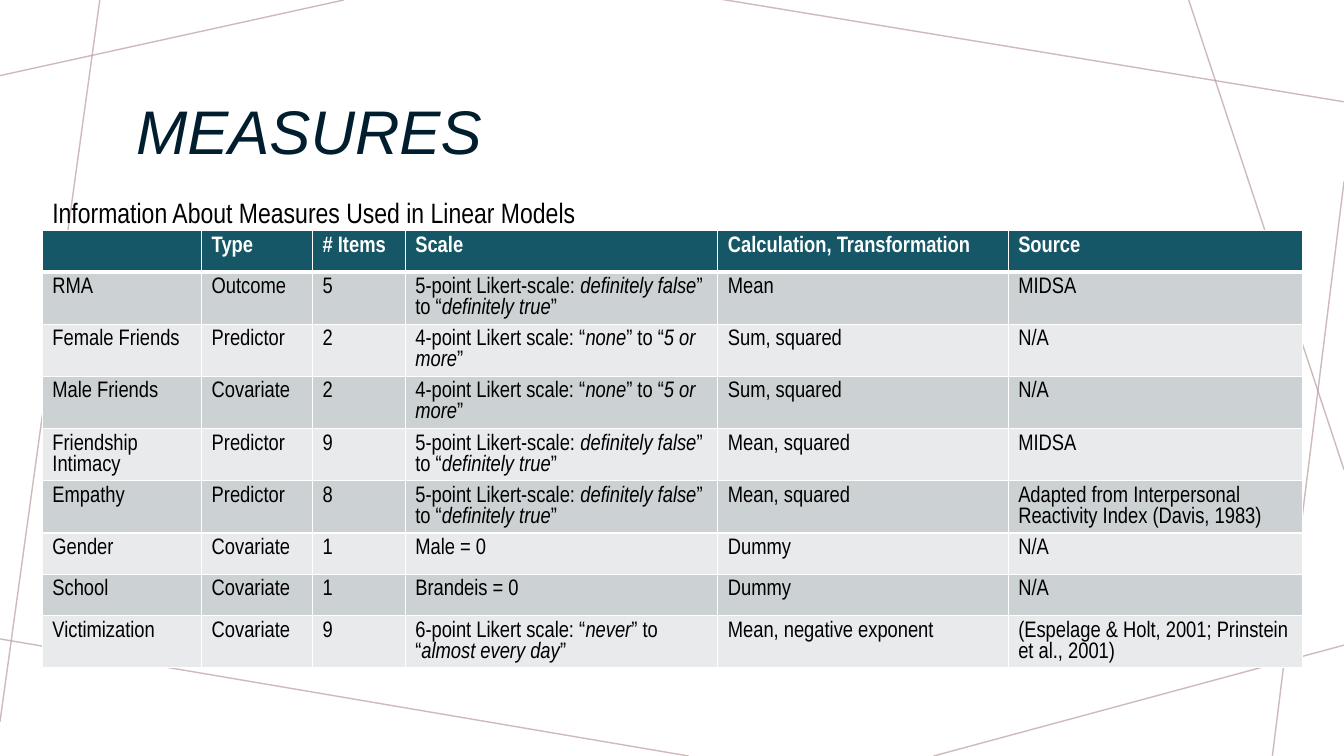
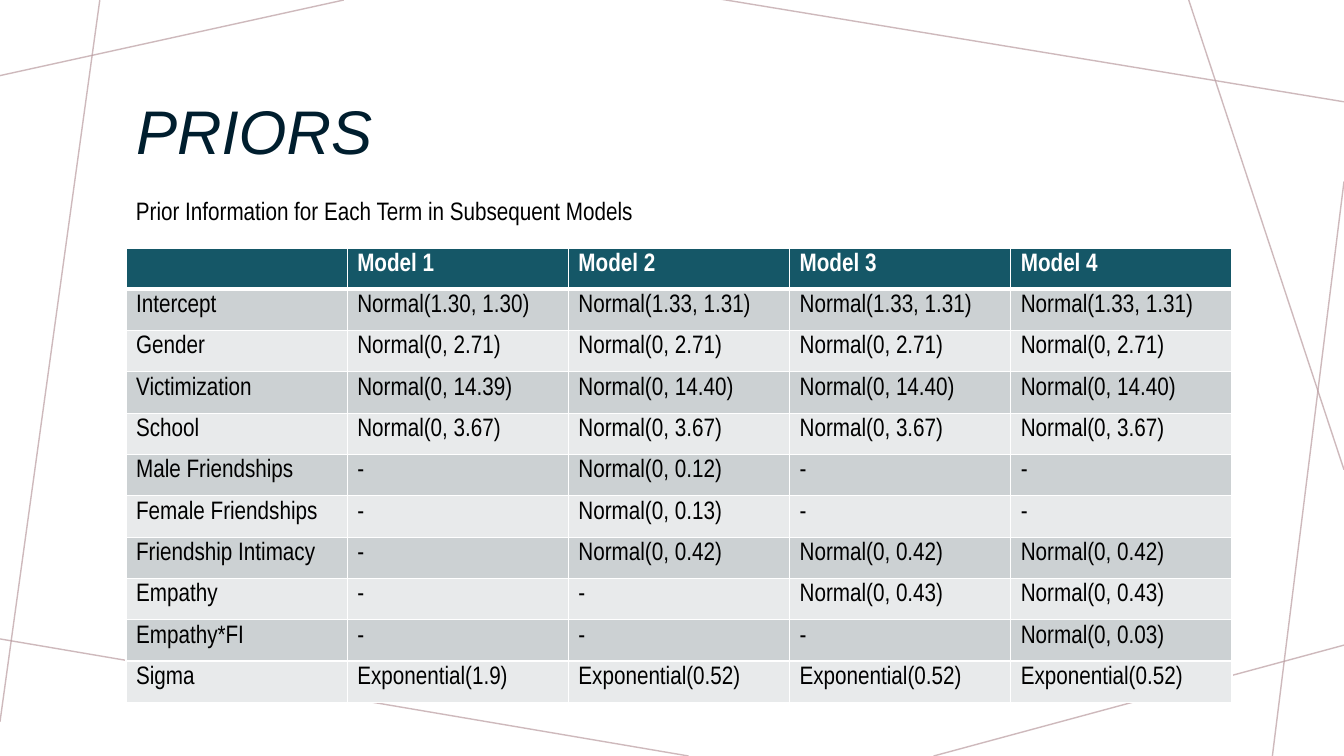
from dataclasses import dataclass

from lxml import etree
from pptx import Presentation
from pptx.dml.color import RGBColor
from pptx.enum.shapes import MSO_CONNECTOR
from pptx.enum.text import MSO_ANCHOR, MSO_AUTO_SIZE, PP_ALIGN
from pptx.oxml.ns import qn
from pptx.util import Inches, Pt

STRAIGHT = MSO_CONNECTOR.STRAIGHT
MIDDLE = MSO_ANCHOR.MIDDLE
LEFT = PP_ALIGN.LEFT
NO_FIT, GROW = MSO_AUTO_SIZE.NONE, MSO_AUTO_SIZE.SHAPE_TO_FIT_TEXT

COLORS = {
    "title": "001E2E",
    "line": "BA9CA0",
    "header": "155767",
    "band_dark": "CCD1D3",
    "band_light": "E8EAEB",
    "white": "FFFFFF",
    "black": "000000",
}
TITLE_FONT, BODY_FONT = "Arial", "Arial Narrow"
ROW_HEIGHT = 0.41
CAPTION_TOP = 1.89


@dataclass
class Line:
    x1: float
    y1: float
    x2: float
    y2: float


@dataclass
class TableSlide:
    title: str
    caption: str
    caption_size: int
    caption_width: float
    left: float
    top: float
    col_widths: list[float]
    text_size: int
    rows: list[list[str]]  # underscores enclose italic words


BACKGROUND_LINES = [
    Line(3.41, 0, 0, 0.75),
    Line(0.99, 0, 0, 7.16),
    Line(6.83, 7.5, -0.05, 6.33),
    Line(13.33, 6.4, 9.26, 7.5),
    Line(13.33, 1.8, 12.62, 7.5),
    Line(13.33, 4.66, 11.79, 0),
    Line(13.33, 1.01, 7.14, -0.01),
]

TRUE_SCALE = "5-point Likert-scale: _definitely false_” to “_definitely true_”"
COUNT_SCALE = "4-point Likert scale: “_none_” to “_5 or more_”"

MEASURES = TableSlide(
    "MEASURES", "Information About Measures Used in Linear Models", 20, 12.49,
    0.42, 2.29, [1.58, 1.1, 0.92, 3.1, 2.88, 2.92], 16,
    [
        ["", "Type", "# Items", "Scale", "Calculation, Transformation", "Source"],
        ["RMA", "Outcome", "5", TRUE_SCALE, "Mean", "MIDSA"],
        ["Female Friends", "Predictor", "2", COUNT_SCALE, "Sum, squared", "N/A"],
        ["Male Friends", "Covariate", "2", COUNT_SCALE, "Sum, squared", "N/A"],
        ["Friendship Intimacy", "Predictor", "9", TRUE_SCALE, "Mean, squared", "MIDSA"],
        ["Empathy", "Predictor", "8", TRUE_SCALE, "Mean, squared",
         "Adapted from Interpersonal Reactivity Index (Davis, 1983)"],
        ["Gender", "Covariate", "1", "Male = 0", "Dummy", "N/A"],
        ["School", "Covariate", "1", "Brandeis = 0", "Dummy", "N/A"],
        ["Victimization", "Covariate", "9",
         "6-point Likert scale: “_never_” to “_almost every day_”",
         "Mean, negative exponent", "(Espelage & Holt, 2001; Prinstein et al., 2001)"],
    ],
)

PRIORS = TableSlide(
    "PRIORS", "Prior Information for Each Term in Subsequent Models", 18, 10.54,
    1.25, 2.46, [10.97 / 5] * 5, 18,
    [
        ["", "Model 1", "Model 2", "Model 3", "Model 4"],
        ["Intercept", "Normal(1.30, 1.30)"] + ["Normal(1.33, 1.31)"] * 3,
        ["Gender"] + ["Normal(0, 2.71)"] * 4,
        ["Victimization", "Normal(0, 14.39)"] + ["Normal(0, 14.40)"] * 3,
        ["School"] + ["Normal(0, 3.67)"] * 4,
        ["Male Friendships", "-", "Normal(0, 0.12)", "-", "-"],
        ["Female Friendships", "-", "Normal(0, 0.13)", "-", "-"],
        ["Friendship Intimacy", "-"] + ["Normal(0, 0.42)"] * 3,
        ["Empathy", "-", "-"] + ["Normal(0, 0.43)"] * 2,
        ["Empathy*FI", "-", "-", "-", "Normal(0, 0.03)"],
        ["Sigma", "Exponential(1.9)"] + ["Exponential(0.52)"] * 3,
    ],
)


def rgb(name: str) -> RGBColor:
    return RGBColor.from_string(COLORS[name])


def set_font(p, name: str, size: int, color: str, bold=False, italic=False) -> None:
    font = p.font
    font.name, font.size = name, Pt(size)
    font.bold, font.italic = bold, italic
    font.color.rgb = rgb(color)


def style_layout(layout, s) -> None:
    """Place the title and move the background lines into the shared layout."""
    title = layout.placeholders[0]
    title.left, title.top = Inches(1.25), Inches(0.58)
    title.width, title.height = Inches(10.83), Inches(1.51)
    for i, ln in enumerate(BACKGROUND_LINES):
        cxn = s.shapes.add_connector(STRAIGHT, Inches(ln.x1), Inches(ln.y1),
                                     Inches(ln.x2), Inches(ln.y2))
        cxn.line.width = Pt(1)
        cxn.line.color.rgb = rgb("line")
        color = cxn.element.find(".//" + qn("a:srgbClr"))
        etree.SubElement(color, qn("a:alpha"), val="70000")
        etree.SubElement(cxn.element.spPr, qn("a:effectLst"))
        layout.shapes.element.insert(2 + i, cxn.element)


def set_title(s, text: str) -> None:
    tf = s.shapes.title.text_frame
    tf.text = text
    tf.vertical_anchor, tf.auto_size = MIDDLE, NO_FIT
    p = tf.paragraphs[0]
    p.alignment, p.line_spacing = LEFT, 0.9
    set_font(p, TITLE_FONT, 44, "title", italic=True)


def set_borders(cell, top: int, bottom: int) -> None:
    tc_pr = cell._tc.get_or_add_tcPr()
    for side, width in (("L", 1), ("R", 1), ("T", top), ("B", bottom)):
        ln = etree.SubElement(tc_pr, qn(f"a:ln{side}"), w=str(Pt(width)))
        fill = etree.SubElement(ln, qn("a:solidFill"))
        etree.SubElement(fill, qn("a:srgbClr"), val=COLORS["white"])


def fill_cell(cell, text: str, row: int, size: int) -> None:
    header = row == 0
    set_borders(cell, top=3 if row == 1 else 1, bottom=3 if header else 1)
    cell.fill.solid()
    band = "band_dark" if row % 2 else "band_light"
    cell.fill.fore_color.rgb = rgb("header" if header else band)
    p = cell.text_frame.paragraphs[0]
    set_font(p, BODY_FONT, size, "white" if header else "black", bold=header)
    for i, part in enumerate(text.split("_")):
        if part:
            r = p.add_run()
            r.text = part
            if i % 2:
                r.font.italic = True


def add_data_table(s, data: TableSlide) -> None:
    n_rows, n_cols = len(data.rows), len(data.col_widths)
    table = s.shapes.add_table(
        n_rows, n_cols, Inches(data.left), Inches(data.top),
        Inches(sum(data.col_widths)), Inches(ROW_HEIGHT * n_rows)).table
    for col, width in zip(table.columns, data.col_widths):
        col.width = Inches(width)
    for i, texts in enumerate(data.rows):
        table.rows[i].height = Inches(ROW_HEIGHT)
        for j, text in enumerate(texts):
            fill_cell(table.cell(i, j), text, i, data.text_size)


def add_caption(s, data: TableSlide) -> None:
    height = 0.44 if data.caption_size == 20 else 0.4
    tf = s.shapes.add_textbox(Inches(data.left), Inches(CAPTION_TOP),
                              Inches(data.caption_width), Inches(height)).text_frame
    tf.word_wrap, tf.auto_size = True, GROW
    tf.text = data.caption
    set_font(tf.paragraphs[0], BODY_FONT, data.caption_size, "black")


def main() -> None:
    prs = Presentation()
    prs.slide_width, prs.slide_height = Inches(13.33), Inches(7.5)
    layout = prs.slide_layouts[5]  # title only
    for i, data in enumerate((MEASURES, PRIORS)):
        s = prs.slides.add_slide(layout)
        if i == 0:
            style_layout(layout, s)
        set_title(s, data.title)
        add_data_table(s, data)
        add_caption(s, data)
    prs.save("out.pptx")


if __name__ == "__main__":
    main()
